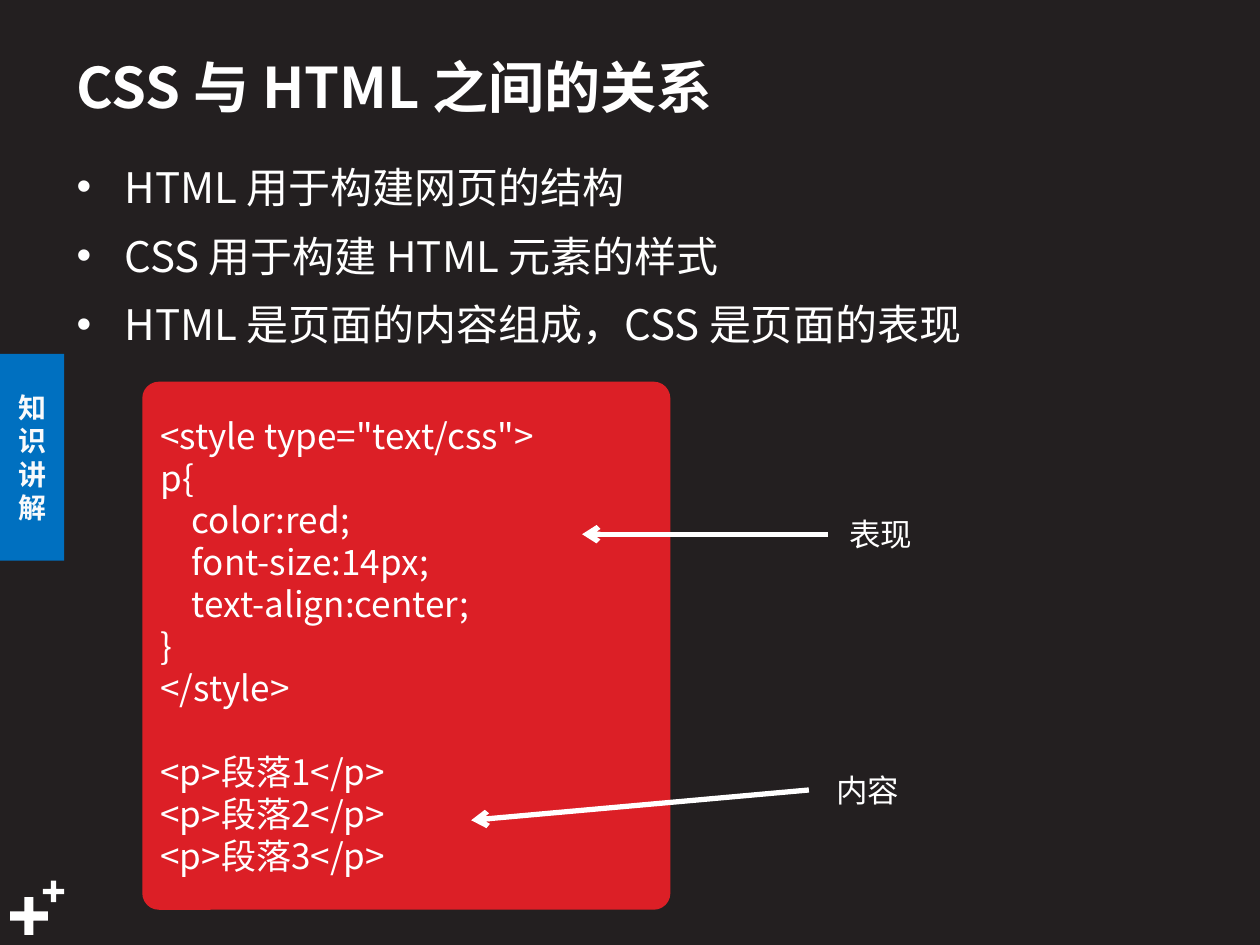
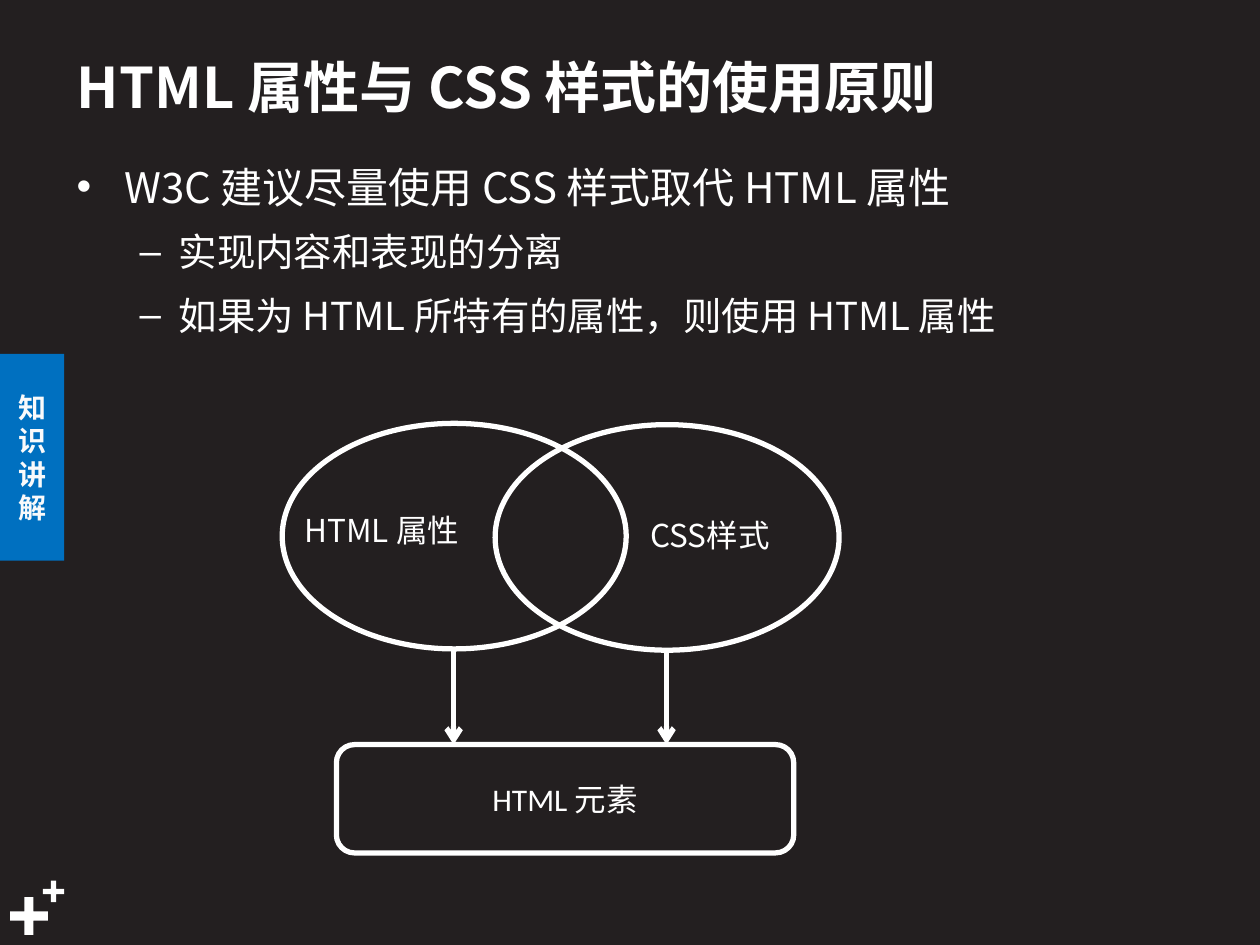
from dataclasses import dataclass, field
from typing import Any

from lxml import etree
from pptx import Presentation
from pptx.dml.color import RGBColor
from pptx.enum.shapes import MSO_CONNECTOR, MSO_SHAPE
from pptx.enum.text import MSO_ANCHOR, MSO_AUTO_SIZE, PP_ALIGN
from pptx.oxml.ns import qn
from pptx.util import Pt

# Lengths are px, 100 to the inch
EMU_PER_PX = 9144
SLIDE_W, SLIDE_H = 1000, 750

RECT, ROUNDED = MSO_SHAPE.RECTANGLE, MSO_SHAPE.ROUNDED_RECTANGLE
ELLIPSE, PLUS = MSO_SHAPE.OVAL, MSO_SHAPE.CROSS
STRAIGHT = MSO_CONNECTOR.STRAIGHT
LEFT, CENTER = PP_ALIGN.LEFT, PP_ALIGN.CENTER
TOP, MIDDLE = MSO_ANCHOR.TOP, MSO_ANCHOR.MIDDLE
NO_FIT = MSO_AUTO_SIZE.NONE

BACKGROUND, WHITE, RED = "231F20", "FFFFFF", "DC1F26"
BAND_BLUE, BAND_TEXT = "0070C0", "F9FAFB"
CJK_FONT, LATIN_FONT = "Noto Sans CJK SC", "Calibri"

TITLE_BOX = (51, 29, 740, 78)
TITLE_FORMAT = {"word_wrap": True, "vertical_anchor": MIDDLE, "auto_size": NO_FIT}
TEXT_FORMAT = {**TITLE_FORMAT, "vertical_anchor": TOP}


@dataclass
class Style:
    size: int
    color: str = WHITE
    bold: bool = False
    latin: str = CJK_FONT
    align: Any = LEFT


@dataclass
class Line:
    """One paragraph; indent in px, before in points."""
    text: str
    indent: int = 0
    before: float = 0


@dataclass
class Box:
    kind: Any
    place: tuple[int, int, int, int]
    fill: str | None = None
    outline: str | None = None
    outline_pt: float = 3
    adjust: float | None = None
    style: Style | None = None
    lines: list[Line] = field(default_factory=list)


@dataclass
class Label:
    place: tuple[int, int, int, int]
    text: str
    align: Any = LEFT


@dataclass
class Arrow:
    start: tuple[int, int]
    end: tuple[int, int]


@dataclass
class Level:
    size: int
    mark: str
    margin: int
    hang: int


TITLE_STYLE = Style(32, bold=True)
LEVELS = [Level(24, "•", 38, 38), Level(22, "–", 81, 31)]

# Side band and corner marks on every slide
SHARED = [
    Box(PLUS, (8, 712, 30, 30), fill=WHITE, adjust=0.378),
    Box(PLUS, (34, 699, 17, 17), fill=WHITE, adjust=0.378),
    Box(RECT, (0, 281, 51, 164), fill=BAND_BLUE,
        style=Style(16, BAND_TEXT, bold=True, align=CENTER), lines=[Line("知识讲解")]),
]


def px(length: int) -> int:
    return length * EMU_PER_PX


def rgb(color: str) -> RGBColor:
    return RGBColor.from_string(color)


def apply(target: Any, values: dict[str, Any]) -> None:
    for name, value in values.items():
        setattr(target, name, value)


def write(paragraph: Any, text: str, style: Style) -> None:
    paragraph.alignment = style.align
    run = paragraph.add_run()
    run.text = text
    apply(run.font, {"size": Pt(style.size), "bold": style.bold, "name": style.latin})
    run.font.color.rgb = rgb(style.color)
    east_asian = etree.SubElement(run.font._element, qn("a:ea"))
    east_asian.set("typeface", CJK_FONT)


def paragraph_at(frame: Any, index: int) -> Any:
    return frame.add_paragraph() if index else frame.paragraphs[0]


def draw_box(slide: Any, box: Box) -> None:
    shape = slide.shapes.add_shape(box.kind, *map(px, box.place))
    shape.shadow.inherit = False
    if box.adjust is not None:
        shape.adjustments[0] = box.adjust
    if box.fill:
        shape.fill.solid()
        shape.fill.fore_color.rgb = rgb(box.fill)
    else:
        shape.fill.background()
    if box.outline:
        shape.line.color.rgb = rgb(box.outline)
        shape.line.width = Pt(box.outline_pt)
    else:
        shape.line.fill.background()
    apply(shape.text_frame, TITLE_FORMAT)
    for index, line in enumerate(box.lines):
        paragraph = paragraph_at(shape.text_frame, index)
        write(paragraph, line.text, box.style)
        paragraph.space_before = Pt(line.before)
        paragraph._p.get_or_add_pPr().set("marL", str(px(line.indent)))


def draw_label(slide: Any, label: Label) -> None:
    frame = slide.shapes.add_textbox(*map(px, label.place)).text_frame
    apply(frame, TEXT_FORMAT)
    write(frame.paragraphs[0], label.text, Style(18, align=label.align))


def draw_arrow(slide: Any, arrow: Arrow) -> None:
    connector = slide.shapes.add_connector(STRAIGHT, *map(px, arrow.start + arrow.end))
    connector.line.color.rgb = rgb(WHITE)
    connector.line.width = Pt(3)
    head = etree.SubElement(connector.line._get_or_add_ln(), qn("a:tailEnd"))
    head.set("type", "arrow")
    etree.SubElement(connector._element.spPr, qn("a:effectLst"))


def draw_bullets(slide: Any, height: int, points: list[tuple[int, str]]) -> None:
    frame = slide.shapes.add_textbox(*map(px, (51, 115, 882, height))).text_frame
    apply(frame, TEXT_FORMAT)
    for index, (depth, text) in enumerate(points):
        level = LEVELS[depth]
        paragraph = paragraph_at(frame, index)
        write(paragraph, text, Style(level.size))
        apply(paragraph, {"level": depth, "line_spacing": 1.2,
                          "space_before": Pt(0.2 * level.size)})
        properties = paragraph._p.get_or_add_pPr()
        properties.set("marL", str(px(level.margin)))
        properties.set("indent", str(-px(level.hang)))
        etree.SubElement(properties, qn("a:buFont")).set("typeface", "Arial")
        etree.SubElement(properties, qn("a:buChar")).set("char", level.mark)


def start_slide(prs: Any, heading: str) -> Any:
    slide = prs.slides.add_slide(prs.slide_layouts[5])
    title = slide.shapes.title
    apply(title, dict(zip(("left", "top", "width", "height"), map(px, TITLE_BOX))))
    apply(title.text_frame, TITLE_FORMAT)
    write(title.text_frame.paragraphs[0], heading, TITLE_STYLE)
    for box in SHARED:
        draw_box(slide, box)
    return slide


def build_relation(prs: Any) -> None:
    slide = start_slide(prs, "CSS 与 HTML 之间的关系")
    draw_bullets(slide, 172, [
        (0, "HTML 用于构建网页的结构"),
        (0, "CSS 用于构建 HTML 元素的样式"),
        (0, "HTML 是页面的内容组成，CSS 是页面的表现"),
    ])

    # Code sample: style rules, then the paragraphs they apply to
    rules = ["color:red;", "font-size:14px;", "text-align:center;"]
    code = [Line('<style type="text/css">'), Line("p{")]
    code += [Line(rule, indent=25) for rule in rules]
    code += [Line("}"), Line("</style>")]
    code += [Line(f"<p>段落{n}</p>", before=24 if n == 1 else 0) for n in (1, 2, 3)]
    draw_box(slide, Box(ROUNDED, (114, 304, 417, 417), RED, RED, 1.5, 0.029,
                        Style(20), code))

    # Callouts
    for arrow in (Arrow((642, 627), (374, 651)), Arrow((657, 424), (462, 424))):
        draw_arrow(slide, arrow)
    for label in (Label((664, 404, 110, 40), "表现"), Label((654, 607, 134, 40), "内容")):
        draw_label(slide, label)


def build_principle(prs: Any) -> None:
    slide = start_slide(prs, "HTML 属性与 CSS 样式的使用原则")
    draw_bullets(slide, 162, [
        (0, "W3C 建议尽量使用 CSS 样式取代 HTML 属性"),
        (1, "实现内容和表现的分离"),
        (1, "如果为 HTML 所特有的属性，则使用 HTML 属性"),
    ])

    # Overlapping sets, each pointing down to the element
    element_top = 591
    width, height = 273, 179
    for left, top in ((393, 337), (224, 336)):
        draw_box(slide, Box(ELLIPSE, (left, top, width, height), outline=WHITE))
        middle = left + width // 2
        draw_arrow(slide, Arrow((middle, top + height), (middle, element_top)))
    draw_label(slide, Label((223, 401, 160, 40), "HTML 属性", CENTER))
    draw_label(slide, Label((505, 405, 117, 40), "CSS样式", CENTER))
    draw_box(slide, Box(ROUNDED, (267, element_top, 363, 86), outline=WHITE,
                        style=Style(18, latin=LATIN_FONT, align=CENTER),
                        lines=[Line("HTML 元素")]))


def main() -> None:
    prs = Presentation()
    apply(prs, {"slide_width": px(SLIDE_W), "slide_height": px(SLIDE_H)})
    backdrop = prs.slide_master.background.fill
    backdrop.solid()
    backdrop.fore_color.rgb = rgb(BACKGROUND)
    build_relation(prs)
    build_principle(prs)
    prs.save("out.pptx")


if __name__ == "__main__":
    main()
